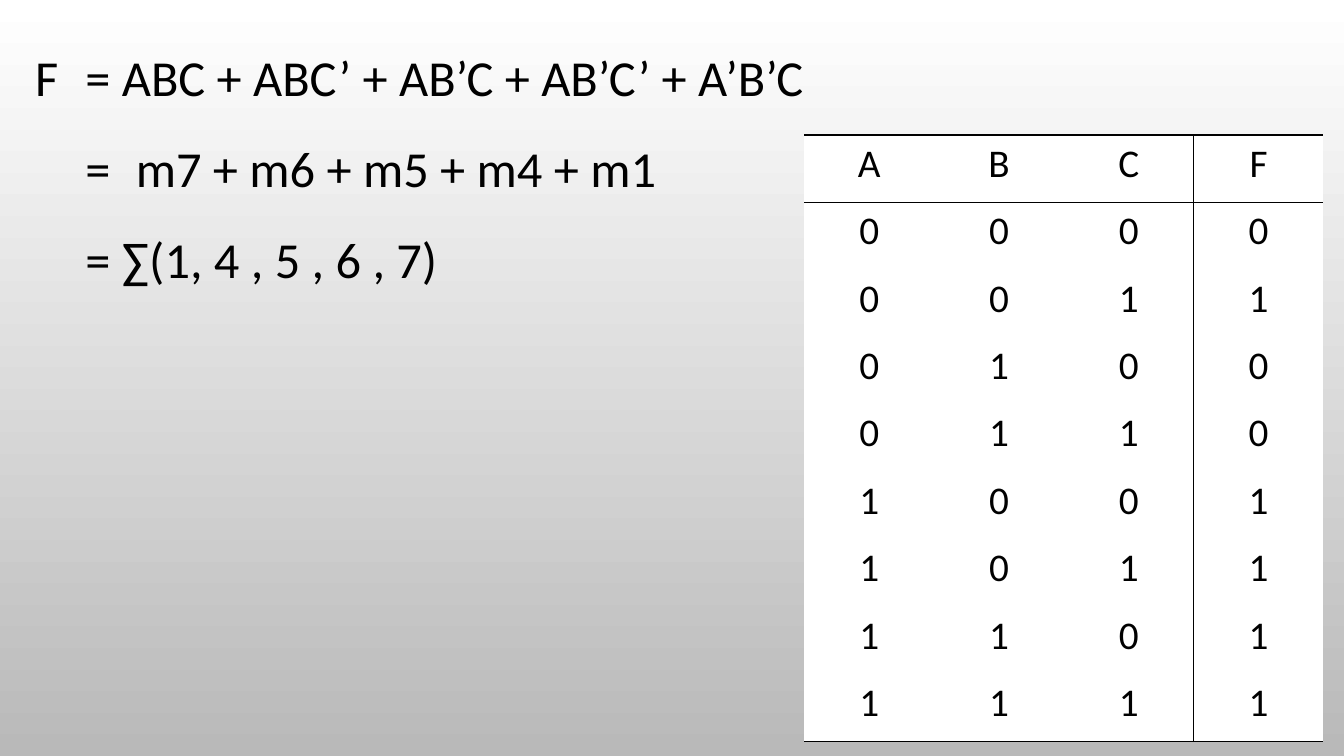
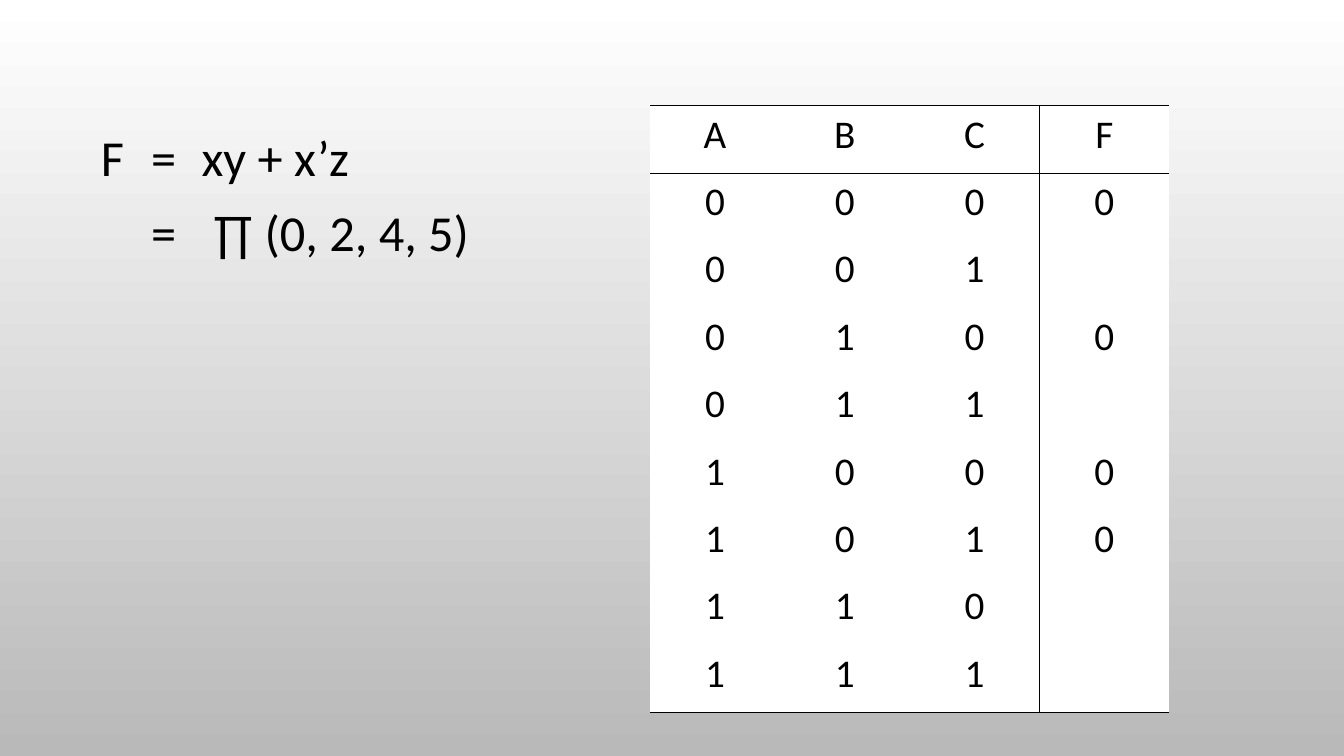
from dataclasses import dataclass
from itertools import product

from lxml.etree import SubElement
from pptx import Presentation
from pptx.dml.color import RGBColor
from pptx.enum.text import MSO_ANCHOR, MSO_AUTO_SIZE, PP_ALIGN
from pptx.oxml.ns import qn
from pptx.slide import Slide
from pptx.table import _Cell
from pptx.text.text import _Paragraph
from pptx.util import Pt


@dataclass(frozen=True)
class Theme:
    font: str = "Calibri"
    ink: str = "000000"
    paper: str = "FFFFFF"
    shade: str = "B9B9B9"
    formula_size: int = 36
    cell_size: int = 28
    rule: int = 1
    tab: int = 36
    column: float = 92.7
    row: float = 48.16


@dataclass(frozen=True)
class Formula:
    left: float
    top: float
    width: float
    height: float
    inset: float
    spacing: float
    wrap: bool
    lines: tuple[str, ...]


@dataclass(frozen=True)
class TruthTable:
    left: float
    top: float
    outputs: tuple[str, ...]


THEME = Theme()
HEADER = ("A", "B", "C", "F")
BORDER_TAGS = {"left": "a:lnL", "right": "a:lnR", "top": "a:lnT", "bottom": "a:lnB"}

SLIDES = (
    (
        Formula(18, 7.92, 617, 196.56, 7.2, 1.5, False, (
            "F\t= ABC + ABC’ + AB’C + AB’C’ + A’B’C",
            "\t=\tm7 + m6 + m5 + m4 + m1",
            "\t= ∑(1, 4 , 5 , 6 , 7)",
        )),
        TruthTable(574.56, 96.48, ("0", "1", "0", "0", "1", "1", "1", "1")),
    ),
    (
        Formula(28.8, 75.6, 907.92, 225.36, 43.2, 1.25, True, (
            "F\t=\txy + x’z",
            "\t=\t ∏ (0, 2, 4, 5)",
        )),
        TruthTable(464.4, 75.6, ("0", "", "0", "", "0", "0", "", "")),
    ),
)


def format_font(p: _Paragraph, size: int) -> None:
    for name, value in {"name": THEME.font, "size": Pt(size), "bold": False}.items():
        setattr(p.font, name, value)
    p.font.color.rgb = RGBColor.from_string(THEME.ink)


def add_tabs(p: _Paragraph, count: int) -> None:
    tabs = SubElement(p._p.get_or_add_pPr(), qn("a:tabLst"))
    for i in range(1, count + 1):
        SubElement(tabs, qn("a:tab"), pos=str(Pt(THEME.tab * i)), algn="l")


def add_formula(s: Slide, formula: Formula) -> None:
    box = (formula.left, formula.top, formula.width, formula.height)
    tf = s.shapes.add_textbox(*map(Pt, box)).text_frame
    settings = {
        "word_wrap": formula.wrap,
        "auto_size": MSO_AUTO_SIZE.NONE,
        "margin_left": Pt(formula.inset),
        "vertical_anchor": MSO_ANCHOR.TOP,
    }
    for name, value in settings.items():
        setattr(tf, name, value)
    for i, line in enumerate(formula.lines):
        p = tf.add_paragraph() if i else tf.paragraphs[0]
        p.line_spacing = formula.spacing
        add_tabs(p, 2)
        p.add_run().text = line
        for r in p.runs:
            format_font_target = r.font
            format_font_target.color.rgb = RGBColor.from_string(THEME.ink)
            format_font_target.name = THEME.font
            format_font_target.size = Pt(THEME.formula_size)


def add_borders(cell: _Cell, sides: set[str]) -> None:
    tc_pr = cell._tc.get_or_add_tcPr()
    for side, tag in BORDER_TAGS.items():
        ln = SubElement(tc_pr, qn(tag), w=str(Pt(THEME.rule)))
        if side in sides:
            fill = SubElement(ln, qn("a:solidFill"))
            SubElement(fill, qn("a:srgbClr"), val=THEME.ink)
        else:
            SubElement(ln, qn("a:noFill"))


def border_sides(row: int, column: int, last_row: int) -> set[str]:
    rules = {
        "top": row in (0, 1),
        "bottom": row in (0, last_row),
        "left": column == len(HEADER) - 1,
        "right": column == len(HEADER) - 2,
    }
    return {side for side, drawn in rules.items() if drawn}


def add_truth_table(s: Slide, truth: TruthTable) -> None:
    inputs = product("01", repeat=len(HEADER) - 1)
    rows = [HEADER, *((*bits, out) for bits, out in zip(inputs, truth.outputs))]
    table = s.shapes.add_table(
        len(rows), len(HEADER), Pt(truth.left), Pt(truth.top),
        Pt(THEME.column * len(HEADER)), Pt(THEME.row * len(rows)),
    ).table
    for name in ("first_row", "horz_banding"):
        setattr(table, name, False)
    for column in table.columns:
        column.width = Pt(THEME.column)
    for i, values in enumerate(rows):
        table.rows[i].height = Pt(THEME.row)
        for j, value in enumerate(values):
            cell = table.cell(i, j)
            add_borders(cell, border_sides(i, j, len(rows) - 1))
            cell.fill.solid()
            cell.fill.fore_color.rgb = RGBColor.from_string(THEME.paper)
            cell.text = value
            p = cell.text_frame.paragraphs[0]
            p.alignment = PP_ALIGN.CENTER
            for r in p.runs:
                r.font.name = THEME.font
            format_font(p, THEME.cell_size)


def set_background(prs: Presentation) -> None:
    fill = prs.slide_master.background.fill
    fill.gradient()
    fill.gradient_angle = 270
    for stop, color in zip(fill.gradient_stops, (THEME.paper, THEME.shade)):
        stop.color.rgb = RGBColor.from_string(color)


def main() -> None:
    prs = Presentation()
    prs.slide_width, prs.slide_height = Pt(960), Pt(540)
    set_background(prs)
    blank = prs.slide_layouts.get_by_name("Blank")
    for formula, truth in SLIDES:
        s = prs.slides.add_slide(blank)
        add_formula(s, formula)
        add_truth_table(s, truth)
    prs.save("out.pptx")


if __name__ == "__main__":
    main()
